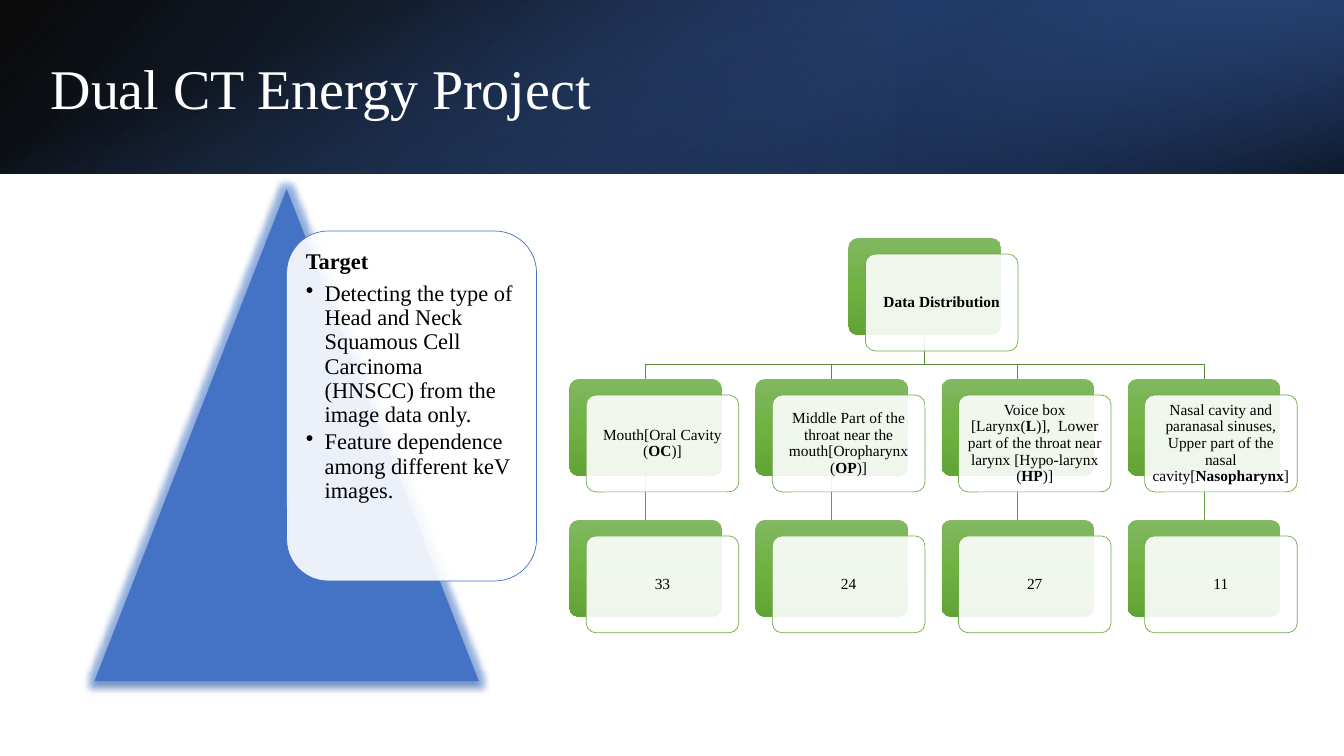
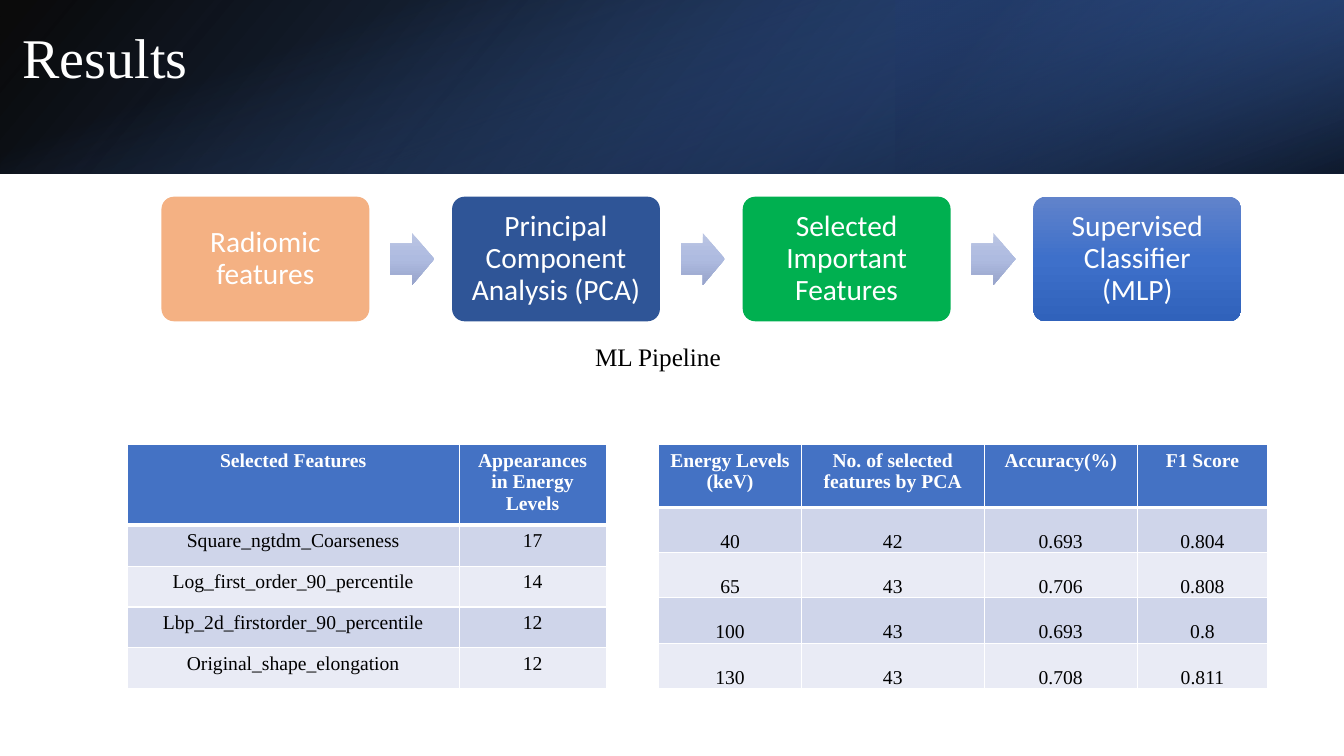
from lxml import etree
from pptx import Presentation
from pptx.dml.color import RGBColor
from pptx.enum import shapes, text
from pptx.oxml import ns
from pptx.util import Pt

SLIDE_WIDTH, SLIDE_HEIGHT = 960, 540
BAND_HEIGHT = 124
SERIF, SANS = "Times New Roman", "Calibri"
BLUE, DARK_BLUE, GREEN = "4472C4", "2F5597", "70AD47"
WHITE, BLACK = "FFFFFF", "000000"
BODY_FILLS = ("CFD5EA", "E9EBF5")
GREEN_SHADES = [(0, "81B861", 100), (50, "6FB242", 100), (100, "62A336", 100)]
BLUE_SHADES = [(0, "6183CB", 100), (50, "3E70CA", 100), (100, "3062BB", 100)]
ARROW_SHADES = [(0, "BBC5E3", 100), (50, "AEBBE0", 100), (100, "98A4CB", 100)]
CENTER, LEFT = text.PP_ALIGN.CENTER, text.PP_ALIGN.LEFT
TOP, MIDDLE, BOTTOM = text.MSO_ANCHOR.TOP, text.MSO_ANCHOR.MIDDLE, text.MSO_ANCHOR.BOTTOM
SHAPE = shapes.MSO_SHAPE


def rgb(color):
    return RGBColor.from_string(color)


def add_xml(parent, tag, **attributes):
    element = etree.SubElement(parent, ns.qn(tag))
    for name, value in attributes.items():
        element.set(name, str(value))
    return element


def add_color(parent, color, opacity=100):
    element = add_xml(parent, "a:srgbClr", val=color)
    if opacity < 100:
        add_xml(element, "a:alpha", val=opacity * 1000)


def fill_solid(shape, color, opacity=100):
    shape.fill.solid()
    shape.fill.fore_color.rgb = rgb(color)
    if opacity < 100:
        color_element = shape._element.spPr.find(ns.qn("a:solidFill"))[0]
        add_xml(color_element, "a:alpha", val=opacity * 1000)


def fill_gradient(shape, stops, angle=90):
    """Stops are (position, colour, opacity); the angle runs clockwise."""
    shape.fill.gradient()
    shape.fill.gradient_angle = 360 - angle
    stop_list = shape._element.spPr.find(ns.qn("a:gradFill")).find(ns.qn("a:gsLst"))
    for stop in list(stop_list):
        stop_list.remove(stop)
    for position, color, opacity in stops:
        add_color(add_xml(stop_list, "a:gs", pos=position * 1000), color, opacity)


def set_line(shape, color, width=0.5):
    shape.line.color.rgb = rgb(color)
    shape.line.width = Pt(width)


def add_shape(slide, kind, left, top, width, height, corner=None):
    shape = slide.shapes.add_shape(kind, Pt(left), Pt(top), Pt(width), Pt(height))
    shape.shadow.inherit = False
    shape.line.fill.background()
    if corner is not None:
        shape.adjustments[0] = corner
    return shape


def format_frame(frame, inset, anchor=MIDDLE):
    frame.word_wrap = True
    frame.vertical_anchor = anchor
    frame.margin_left = frame.margin_right = Pt(inset)
    frame.margin_top = frame.margin_bottom = Pt(inset)


def write(paragraph, words, size, color=BLACK, font=SERIF, align=CENTER, spacing=0.9):
    """Write words into the paragraph; parts between asterisks are bold."""
    paragraph.alignment = align
    paragraph.line_spacing = spacing
    for index, part in enumerate(words.split("*")):
        if part:
            run = paragraph.add_run()
            run.text = part
            run.font.size = Pt(size)
            run.font.name = font
            run.font.bold = index % 2 == 1
            run.font.color.rgb = rgb(color)


def add_band(slide, width, height):
    base = add_shape(slide, SHAPE.RECTANGLE, 0, 0, width, height)
    fill_gradient(base, [(0, BLACK, 96), (100, DARK_BLUE, 100)], 140)
    corner = add_shape(slide, SHAPE.RECTANGLE, width * 2 / 3, 0, width / 3, height)
    fill_gradient(corner, [(19, "203864", 68), (100, BLUE, 79)], 320)
    corner.rotation = 180
    for shape in (base, corner):
        shape._element.spPr.xfrm.set("flipH", "1")
    offset = (width - height) / 2
    shade = add_shape(slide, SHAPE.RECTANGLE, offset, -offset, height, width)
    fill_gradient(shade, [(23, BLUE, 0), (99, BLACK, 74)], 340)
    shade.rotation = 90


def add_titled_slide(presentation, words, left, top):
    slide = presentation.slides.add_slide(presentation.slide_layouts[5])
    add_band(slide, SLIDE_WIDTH, BAND_HEIGHT)
    title = slide.shapes.title
    slide.shapes._spTree.append(title._element)
    title.left, title.top, title.width, title.height = Pt(left), Pt(top), Pt(790), Pt(69)
    title.text_frame.vertical_anchor = MIDDLE
    title.text_frame.auto_size = text.MSO_AUTO_SIZE.NONE
    write(title.text_frame.paragraphs[0], words, 40, WHITE, align=LEFT)
    return slide


def add_glow(shape):
    effects = shape._element.spPr.find(ns.qn("a:effectLst"))
    add_color(add_xml(effects, "a:glow", rad=Pt(8)), "2A6EDE", 40)
    shadow = add_xml(effects, "a:outerShdw", blurRad=Pt(3.5), dist=Pt(2.2), dir=90 * 60000)
    add_color(shadow, BLACK, 32)


def add_target(slide, left, top, width, height, heading, points):
    triangle = add_shape(slide, SHAPE.ISOSCELES_TRIANGLE, left, top, width, height)
    fill_solid(triangle, BLUE)
    add_glow(triangle)
    card = add_shape(slide, SHAPE.ROUNDED_RECTANGLE, left + width / 2, top + 30, 178.5, 250)
    fill_solid(card, WHITE, 90)
    set_line(card, BLUE)
    format_frame(card.text_frame, 5, TOP)
    paragraph = card.text_frame.paragraphs[0]
    write(paragraph, f"*{heading}*", 16, align=LEFT)
    paragraph.space_after = Pt(5.6)
    for point in points:
        paragraph = card.text_frame.add_paragraph()
        write(paragraph, point, 16, align=LEFT)
        paragraph.space_after = Pt(2.4)
        properties = paragraph._p.get_or_add_pPr()
        properties.set("marL", str(Pt(13.5)))
        properties.set("indent", str(Pt(-13.5)))
        add_xml(properties, "a:buChar", char="•")


def add_branch(slide, start_x, start_y, end_x, end_y):
    bend_y = end_y - 10.5
    builder = slide.shapes.build_freeform(Pt(start_x), Pt(start_y))
    corners = [(start_x, bend_y), (end_x, bend_y), (end_x, end_y)]
    builder.add_line_segments([(Pt(x), Pt(y)) for x, y in corners], close=False)
    branch = builder.convert_to_shape()
    branch.shadow.inherit = False
    branch.fill.background()
    set_line(branch, "5A8B39")


def add_link(slide, upper, lower):
    link = slide.shapes.add_connector(shapes.MSO_CONNECTOR.STRAIGHT, 0, 0, 0, 0)
    link.begin_connect(upper, 2)
    link.end_connect(lower, 0)
    add_xml(link._element.spPr, "a:effectLst")
    set_line(link, "669D40")


def add_tree(slide, left, top, width, height, root, groups):
    """Draw a root over one column per group, each a label above its count."""
    node_width, node_height, shift_x, shift_y = 109, 69.2, 12.1, 11.5
    step_x = (width - node_width - shift_x) / (len(groups) - 1)
    step_y = (height - node_height - shift_y) / 2
    root_left = left + step_x * (len(groups) - 1) / 2
    nodes = [(root_left, top, root)]
    for column, words in enumerate(groups):
        for row, label in enumerate(words, 1):
            nodes.append((left + column * step_x, top + row * step_y, label))

    blocks = []
    for x, y, _ in nodes:
        block = add_shape(slide, SHAPE.ROUNDED_RECTANGLE, x, y, node_width, node_height, 0.1)
        fill_gradient(block, GREEN_SHADES)
        blocks.append(block)
    half = node_width / 2
    for upper, lower, (x, y, _) in zip(blocks[1::2], blocks[2::2], nodes[1::2]):
        add_link(slide, upper, lower)
        add_branch(slide, root_left + half, top + node_height, x + half, y)
    for x, y, label in nodes:
        card = add_shape(slide, SHAPE.ROUNDED_RECTANGLE, x + shift_x, y + shift_y,
                         node_width, node_height, 0.1)
        fill_solid(card, WHITE, 90)
        set_line(card, GREEN)
        format_frame(card.text_frame, 3.3)
        write(card.text_frame.paragraphs[0], label, 11)


def add_pipeline(slide, left, top, width, height, steps):
    box_width, arrow_width, arrow_height = 148.5, 31.5, 37
    step_x = (width - box_width) / (len(steps) - 1)
    for index, (words, fill) in enumerate(steps):
        x = left + index * step_x
        if index:
            arrow = add_shape(slide, SHAPE.RIGHT_ARROW, x - 44.2,
                              top + (height - arrow_height) / 2,
                              arrow_width, arrow_height, 0.6)
            fill_gradient(arrow, ARROW_SHADES)
        box = add_shape(slide, SHAPE.ROUNDED_RECTANGLE, x, top, box_width, height, 0.1)
        if isinstance(fill, str):
            fill_solid(box, fill)
        else:
            fill_gradient(box, fill)
        format_frame(box.text_frame, 6.3)
        write(box.text_frame.paragraphs[0], words, 21, WHITE, SANS)


def add_caption(slide, left, top, width, height, words):
    caption = slide.shapes.add_textbox(Pt(left), Pt(top), Pt(width), Pt(height))
    caption.text_frame.word_wrap = False
    write(caption.text_frame.paragraphs[0], words, 18, align=LEFT, spacing=1)


def set_borders(cell, top, bottom):
    properties = cell._tc.get_or_add_tcPr()
    sides = [("a:lnL", 1), ("a:lnR", 1), ("a:lnT", top), ("a:lnB", bottom)]
    for index, (tag, width) in enumerate(sides):
        line = add_xml(properties, tag, w=Pt(width))
        add_color(add_xml(line, "a:solidFill"), WHITE)
        properties.insert(index, line)


def add_data_table(slide, left, top, widths, header_height, row_height, rows, sit_low=False):
    height = header_height + row_height * (len(rows) - 1)
    table = slide.shapes.add_table(len(rows), len(widths), Pt(left), Pt(top),
                                   Pt(sum(widths)), Pt(height)).table
    for column, width in zip(table.columns, widths):
        column.width = Pt(width)
    for index, values in enumerate(rows):
        is_header = index == 0
        table.rows[index].height = Pt(header_height if is_header else row_height)
        for cell, value in zip(table.rows[index].cells, values):
            cell.fill.solid()
            cell.fill.fore_color.rgb = rgb(BLUE if is_header else BODY_FILLS[(index - 1) % 2])
            set_borders(cell, 3 if index == 1 else 1, 3 if is_header else 1)
            if sit_low and not is_header:
                cell.vertical_anchor = BOTTOM
                cell.margin_left = cell.margin_right = cell.margin_top = Pt(0.7)
                cell.margin_bottom = 0
            write(cell.text_frame.paragraphs[0], f"*{value}*" if is_header else value,
                  14, WHITE if is_header else BLACK, spacing=1)


def build_project_slide(presentation):
    slide = add_titled_slide(presentation, "Dual CT Energy Project", 29, 31)
    add_target(slide, 67.5, 135, 274.5, 351.5, "Target", [
        "Detecting the type of Head and Neck Squamous Cell Carcinoma (HNSCC) "
        "from the image data only.",
        "Feature dependence among different keV images.",
    ])
    add_tree(slide, 406.6, 170, 520, 282, "*Data Distribution*", [
        ("Mouth[Oral Cavity (*OC*)]", "33"),
        ("Middle Part of the throat near the mouth[Oropharynx (*OP*)]", "24"),
        ("Voice box [Larynx(*L*)],  Lower part of the throat near larynx "
         "[Hypo-larynx (*HP*)]", "27"),
        ("Nasal cavity and paranasal sinuses, Upper part of the nasal "
         "cavity[*Nasopharynx*]", "11"),
    ])


def build_results_slide(presentation):
    slide = add_titled_slide(presentation, "Results", 9, 8.5)
    add_pipeline(slide, 115.3, 140.5, 771.3, 89, [
        ("Radiomic features", "F4B183"),
        ("Principal Component Analysis (PCA)", DARK_BLUE),
        ("Selected Important Features", "00B050"),
        ("Supervised Classifier (MLP)", BLUE_SHADES),
    ])
    add_caption(slide, 418, 240.5, 105, 29, "ML Pipeline")
    add_data_table(slide, 91, 317.5, [237, 105], 57.5, 29.2, [
        ("Selected Features", "Appearances in Energy Levels"),
        ("Square_ngtdm_Coarseness", "17"),
        ("Log_first_order_90_percentile", "14"),
        ("Lbp_2d_firstorder_90_percentile", "12"),
        ("Original_shape_elongation", "12"),
    ])
    add_data_table(slide, 470.5, 317.5, [102, 130.5, 109.5, 93], 45, 32.3, [
        ("Energy Levels (keV)", "No. of selected features by PCA", "Accuracy(%)", "F1 Score"),
        ("40", "42", "0.693", "0.804"),
        ("65", "43", "0.706", "0.808"),
        ("100", "43", "0.693", "0.8"),
        ("130", "43", "0.708", "0.811"),
    ], sit_low=True)


def main():
    presentation = Presentation()
    presentation.slide_width, presentation.slide_height = Pt(SLIDE_WIDTH), Pt(SLIDE_HEIGHT)
    build_project_slide(presentation)
    build_results_slide(presentation)
    presentation.save("out.pptx")


if __name__ == "__main__":
    main()
